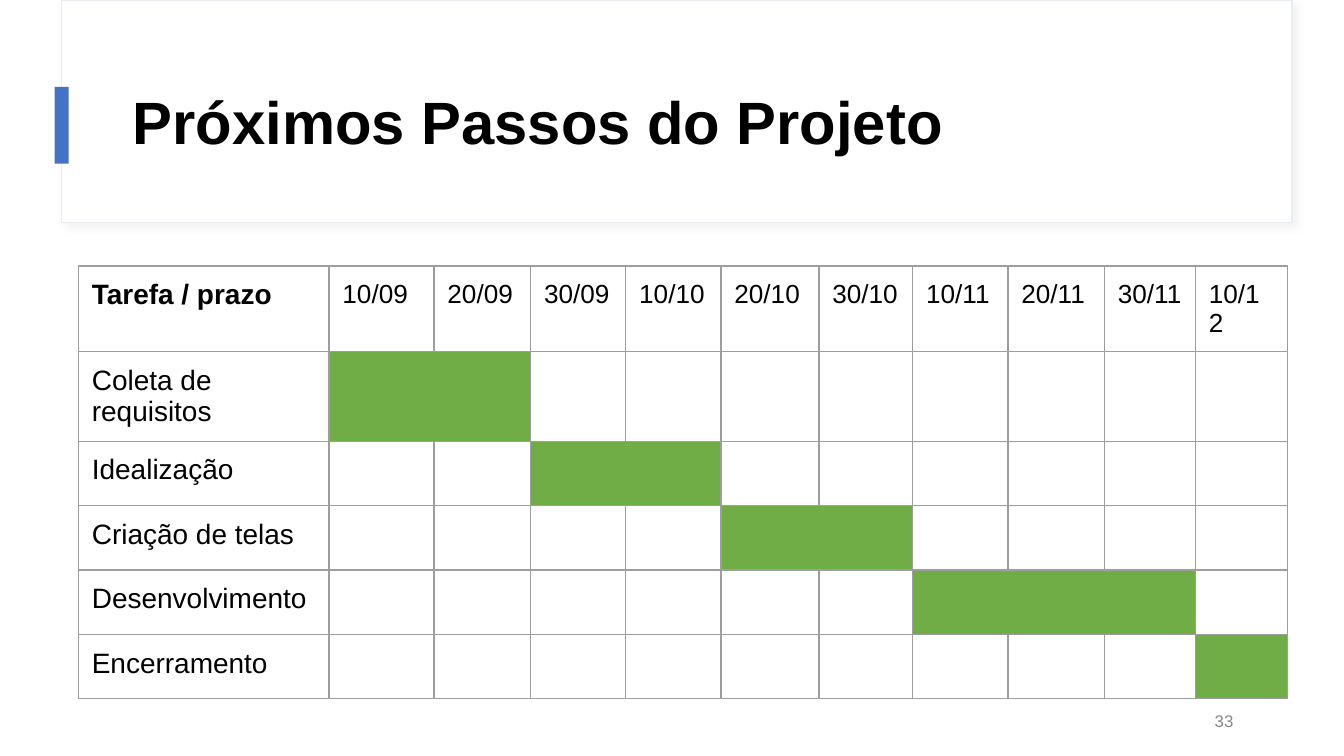
from lxml import etree
from pptx import Presentation
from pptx import util as u
from pptx.dml.color import RGBColor
from pptx.enum import shapes, text
from pptx.oxml import ns

PX = 9525


def color(code):
    return RGBColor.from_string(code)


def style(para, size, code="000000", bold=False):
    font = para.font
    font.name, font.size, font.bold = "Arial", u.Pt(size), bold
    font.color.rgb = color(code)


deck = Presentation()
deck.slide_width, deck.slide_height = 960 * PX, 540 * PX
slide = deck.slides.add_slide(deck.slide_layouts[5])
tree = slide.shapes

bars = [(44, 0, 879, 159, "FFFFFF"), (39, 62, 10, 55, "4472C4")]
for spot, (x, y, w, h, fill) in enumerate(bars, 2):
    bar = tree.add_shape(shapes.MSO_SHAPE.RECTANGLE, x * PX, y * PX, w * PX, h * PX)
    bar.shadow.inherit = False
    bar.fill.solid()
    bar.fill.fore_color.rgb = color(fill)
    bar.line.fill.background()
    tree._spTree.insert(spot, bar._element)
    if spot == 2:
        card = bar

card.line.color.rgb = color("E9EDF1")
card.line.width = u.Pt(0.75)
glow = etree.SubElement(
    card._element.spPr.find(ns.qn("a:effectLst")), ns.qn("a:outerShdw"),
    blurRad=str(u.Pt(4)), dist=str(u.Pt(3)), dir="2700000", algn="tl", rotWithShape="0")
tint = etree.SubElement(glow, ns.qn("a:srgbClr"), val="D8D8D8")
etree.SubElement(tint, ns.qn("a:alpha"), val="29000")

title = tree.title
title.left, title.top, title.width, title.height = [n * PX for n in (88, 43, 801, 93)]
title.text_frame.text = "Próximos Passos do Projeto"
para = title.text_frame.paragraphs[0]
para.alignment = text.PP_ALIGN.LEFT
para.line_spacing = 0.9
style(para, 32, bold=True)

page = tree.add_textbox(672 * PX, 500 * PX, 216 * PX, 29 * PX)
page.text_frame.text = "33"
para = page.text_frame.paragraphs[0]
para.alignment = text.PP_ALIGN.RIGHT
style(para, 9, "888888")

for box in (title, page):
    frame = box.text_frame
    frame.word_wrap = True
    frame.auto_size = text.MSO_AUTO_SIZE.NONE
    frame.vertical_anchor = text.MSO_ANCHOR.MIDDLE
    frame.margin_left = frame.margin_right = 7 * PX
    frame.margin_top = frame.margin_bottom = 4 * PX

dates = ["10/09", "20/09", "30/09", "10/10", "20/10",
         "30/10", "10/11", "20/11", "30/11", "10/12"]
tasks = [("Coleta de requisitos", 1, 2), ("Idealização", 3, 4),
         ("Criação de telas", 5, 6), ("Desenvolvimento", 7, 9),
         ("Encerramento", 10, 10)]
wides = [179, 75, 69, 68, 68, 70, 67, 68, 69, 65, 66]
highs = [48, 64, 46, 46, 46, 46]

grid = tree.add_table(len(highs), len(wides), 56 * PX, 190 * PX,
                      sum(wides) * PX, sum(highs) * PX).table
grid.first_row = grid.horz_banding = False
for col, wide in zip(grid.columns, wides):
    col.width = wide * PX
for row, high in zip(grid.rows, highs):
    row.height = high * PX

for cell in grid.iter_cells():
    props = cell._tc.get_or_add_tcPr()
    for side in ("lnL", "lnR", "lnT", "lnB"):
        edge = etree.SubElement(props, ns.qn("a:" + side), w=str(u.Pt(0.75)))
        paint = etree.SubElement(edge, ns.qn("a:solidFill"))
        etree.SubElement(paint, ns.qn("a:srgbClr"), val="9E9E9E")
    cell.fill.background()

labels = [(0, 0, "Tarefa / prazo", 15)]
labels += [(0, c, date, 14) for c, date in enumerate(dates, 1)]
labels += [(r, 0, task[0], 15) for r, task in enumerate(tasks, 1)]
for r, c, words, size in labels:
    cell = grid.cell(r, c)
    cell.text = words
    cell.margin_left = cell.margin_right = u.Inches(0.1)
    cell.margin_top = cell.margin_bottom = u.Inches(0.1)
    style(cell.text_frame.paragraphs[0], size, bold=r == c == 0)

for r, (_, first, last) in enumerate(tasks, 1):
    cell = grid.cell(r, first)
    if last > first:
        cell.merge(grid.cell(r, last))
    cell.fill.solid()
    cell.fill.fore_color.rgb = color("70AD47")

deck.save("out.pptx")
